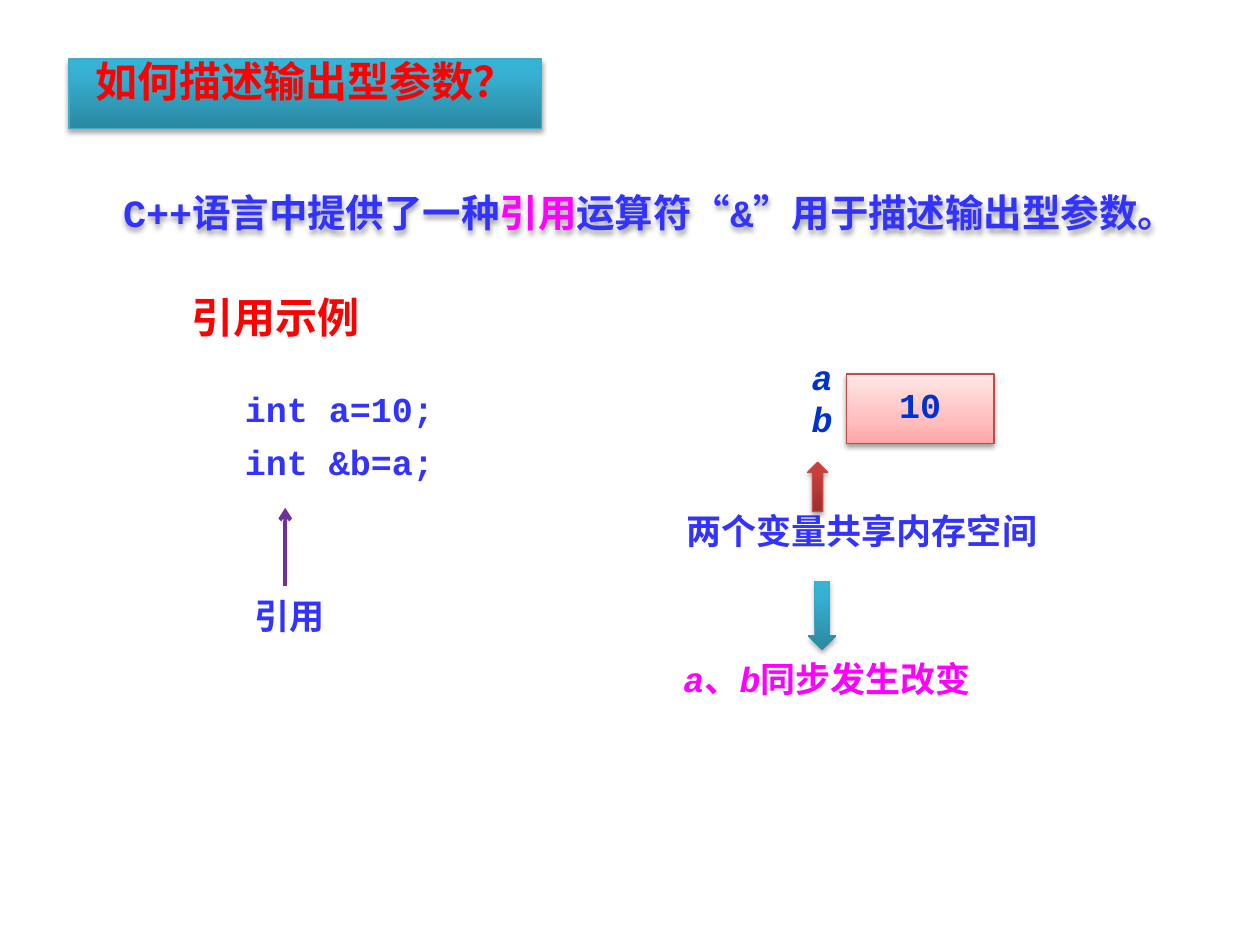
from lxml.etree import SubElement
from pptx import Presentation
from pptx.dml.color import RGBColor
from pptx.enum.shapes import MSO_CONNECTOR, MSO_SHAPE
from pptx.enum.text import MSO_ANCHOR, MSO_AUTO_SIZE, PP_ALIGN
from pptx.oxml.ns import qn
from pptx.util import Pt

COLORS = {
    "blue": "3333FF", "navy": "0033CC", "red": "FF0000", "magenta": "FF00FF",
    "purple": "7030A0", "teal_edge": "46AAC5", "red_edge": "BF4C48", "black": "000000",
}
GRADIENTS = {
    "teal": [(0, "2A88A2"), (80, "37B1D2"), (100, "34B4D6")],
    "red": [(0, "9C2F2D"), (80, "CB3E3A"), (100, "CE3B37")],
    "pink": [(0, "FFA6A5"), (35, "FFC0BF"), (100, "FFE7E7")],
}
CODE_FONT = "Courier New"
CHINESE_FONT = "Noto Sans CJK SC"


def rgb(name):
    return RGBColor.from_string(COLORS[name])


class Painter:
    """Holds the style and the current slide."""

    def __init__(self, page):
        self.page = page

    def letter(self, shape, lines, size=20, font=CODE_FONT, inset=True, anchor=MSO_ANCHOR.TOP):
        """Each line is a list of (text, color) or (text, color, italic) spans."""
        frame = shape.text_frame
        frame.word_wrap = True
        frame.auto_size = MSO_AUTO_SIZE.NONE
        frame.vertical_anchor = anchor
        if not inset:
            frame.margin_left = frame.margin_right = frame.margin_top = frame.margin_bottom = 0
        for index, line in enumerate(lines):
            para = frame.add_paragraph() if index else frame.paragraphs[0]
            para.alignment = PP_ALIGN.CENTER
            para.line_spacing = 0.8
            para.space_before = Pt(11 if index else 0)
            for text, color, *italic in line:
                span = para.add_run()
                span.text = text
                span.font.size = Pt(size)
                span.font.name = font
                span.font.bold = True
                span.font.italic = bool(italic and italic[0])
                span.font.color.rgb = rgb(color)
                SubElement(span.font._element, qn("a:ea"), typeface=CHINESE_FONT)

    def shade(self, shape, gradient, edge=None):
        shape.fill.gradient()
        shape.fill.gradient_angle = 90
        stops = shape._element.spPr.find(qn("a:gradFill")).find(qn("a:gsLst"))
        for stop in list(stops):
            stops.remove(stop)
        for position, color in GRADIENTS[gradient]:
            stop = SubElement(stops, qn("a:gs"), pos=str(position * 1000))
            SubElement(stop, qn("a:srgbClr"), val=color)
        if edge:
            shape.line.color.rgb = rgb(edge)
            shape.line.width = Pt(0.75)
        else:
            shape.line.fill.background()

    def cast_shadow(self, shape, opacity=35, distance=1.8):
        shape.shadow.inherit = False
        effects = shape._element.spPr.find(qn("a:effectLst"))
        shadow = SubElement(effects, qn("a:outerShdw"), blurRad=str(int(Pt(3.1))),
                            dist=str(int(Pt(distance))), dir="5400000", rotWithShape="0")
        color = SubElement(shadow, qn("a:srgbClr"), val=COLORS["black"])
        SubElement(color, qn("a:alpha"), val=str(opacity * 1000))

    def title(self, area, text):
        shape = self.page.shapes.title
        shape.left, shape.top, shape.width, shape.height = map(Pt, area)
        self.shade(shape, "teal", "teal_edge")
        self.cast_shadow(shape)
        self.letter(shape, [[(text, "red")]], size=24)

    def text(self, area, lines, **style):
        box = self.page.shapes.add_textbox(*map(Pt, area))
        self.letter(box, lines, **style)
        return box

    def shape(self, kind, area, gradient, edge=None, **shadow):
        shape = self.page.shapes.add_shape(kind, *map(Pt, area))
        self.shade(shape, gradient, edge)
        self.cast_shadow(shape, **shadow)
        return shape

    def arrow(self, start, end, color, width):
        line = self.page.shapes.add_connector(MSO_CONNECTOR.STRAIGHT, *map(Pt, start + end))
        line.line.color.rgb = rgb(color)
        line.line.width = Pt(width)
        properties = line._element.spPr
        SubElement(properties.find(qn("a:ln")), qn("a:tailEnd"), type="arrow")
        SubElement(properties, qn("a:effectLst"))


def main():
    deck = Presentation()
    deck.slide_width, deck.slide_height = Pt(720), Pt(540)
    painter = Painter(deck.slides.add_slide(deck.slide_layouts[5]))

    # Title and statement
    painter.title((39.4, 33.8, 270, 39.6), "如何描述输出型参数？")
    statement = painter.text((50.4, 109.4, 641.5, 36.7), [[
        ("C++语言中提供了一种", "blue"), ("引用", "magenta"),
        ("运算符“&”用于描述输出型参数。", "blue")]], size=22)
    painter.cast_shadow(statement)

    # Reference example in code
    painter.text((95.8, 168.5, 123.8, 39.6), [[("引用示例", "red")]], size=24)
    painter.text((123.8, 222.5, 140.4, 72.7),
                 [[("int a=10;", "blue")], [("int &b=a;", "blue")]])
    painter.arrow((163, 334.8), (163, 290.2), "purple", 2.25)
    painter.text((134.6, 340.6, 61.9, 33.8), [[("引用", "blue")]])

    # Memory cell with its two names
    for name, top in (("a", 208.1), ("b", 231.8)):
        painter.text((461.5, top, 16.6, 26.6), [[(name, "navy", True)]], inset=False)
    cell = painter.shape(MSO_SHAPE.RECTANGLE, (483.8, 213.8, 84.2, 39.6),
                         "pink", "red_edge", opacity=38, distance=1.6)
    painter.letter(cell, [[("10", "navy")]], anchor=MSO_ANCHOR.MIDDLE)

    # Shared memory and its consequence
    painter.text((365.8, 292.3, 253.4, 32.4),
                 [[("两个变量共享内存空间", "blue")]], font=CHINESE_FONT)
    painter.shape(MSO_SHAPE.UP_ARROW, (461.5, 264.2, 11.5, 28.1), "red", "red_edge")
    painter.shape(MSO_SHAPE.DOWN_ARROW, (461.5, 331.9, 16.6, 39.6), "teal")
    painter.text((365.8, 376.6, 213.8, 32.4), [[
        ("a", "magenta", True), ("、", "magenta"),
        ("b", "magenta", True), ("同步发生改变", "magenta")]])

    deck.save("out.pptx")


if __name__ == "__main__":
    main()
